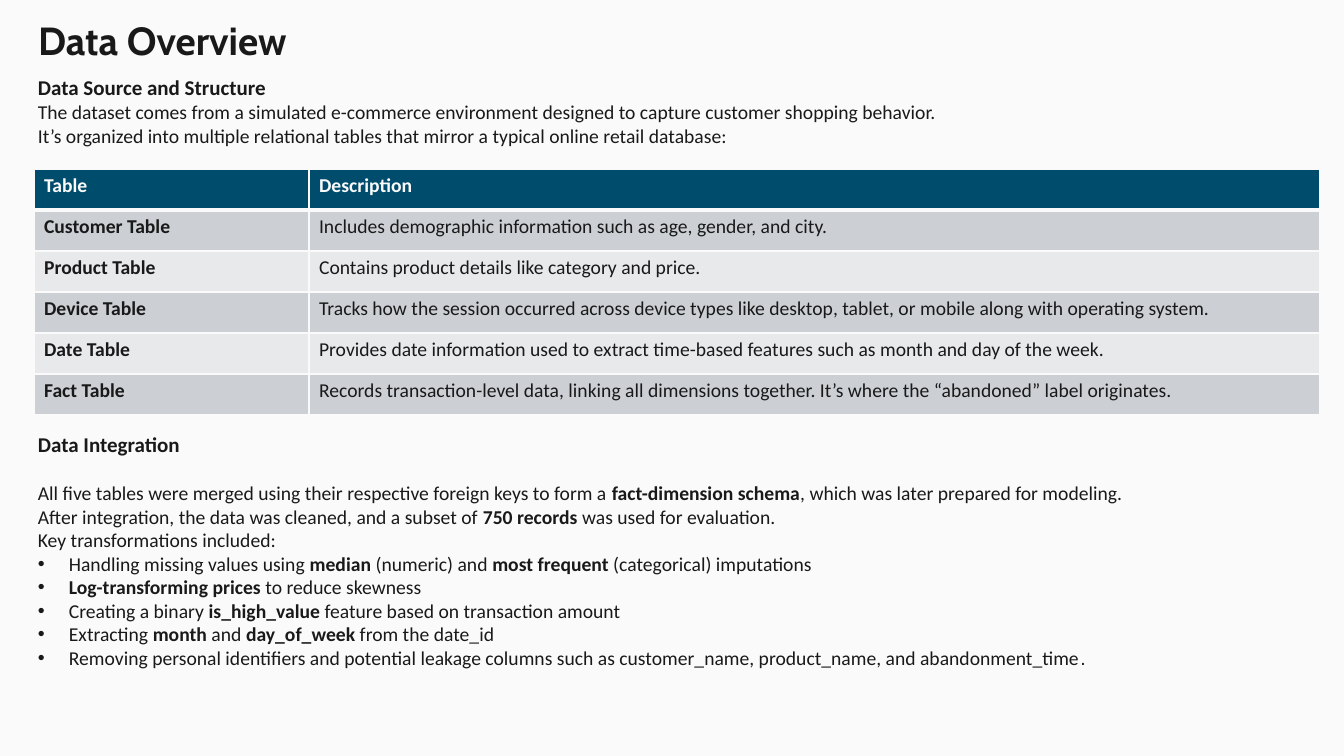
from lxml import etree
from pptx import Presentation
from pptx.dml.color import RGBColor
from pptx.enum.text import MSO_ANCHOR, MSO_AUTO_SIZE, PP_ALIGN
from pptx.oxml.ns import qn
from pptx.util import Emu, Pt

SLIDE_W, SLIDE_H = 1344, 756
EMU_PER_PX = 12192000 / SLIDE_W

PAPER = RGBColor(0xFA, 0xFA, 0xFA)
INK = RGBColor(0x19, 0x19, 0x19)
HEADER_BLUE = RGBColor(0x00, 0x4C, 0x6D)
BAND_DARK = RGBColor(0xCC, 0xD0, 0xD4)
BAND_LIGHT = RGBColor(0xE7, 0xE9, 0xEB)

BODY_FONT, TITLE_FONT = "Calibri", "Cabin"
BULLET_INDENT = 31

SOURCE_LINES = (
    "The dataset comes from a simulated e-commerce environment designed to capture customer shopping behavior.\n"
    "It’s organized into multiple relational tables that mirror a typical online retail database:"
)
TABLE_ROWS = [
    ("Table", "Description"),
    ("Customer Table", "Includes demographic information such as age, gender, and city."),
    ("Product Table", "Contains product details like category and price."),
    ("Device Table", "Tracks how the session occurred across device types like desktop, "
                     "tablet, or mobile along with operating system."),
    ("Date Table", "Provides date information used to extract time-based features "
                   "such as month and day of the week."),
    ("Fact Table", "Records transaction-level data, linking all dimensions together. "
                   "It’s where the “abandoned” label originates."),
]
INTEGRATION_LINES = (
    "All five tables were merged using their respective foreign keys to form a "
    "**fact-dimension schema**, which was later prepared for modeling.\n"
    "After integration, the data was cleaned, and a subset of **750 records** was used for evaluation."
)
TRANSFORMATIONS = [
    "Handling missing values using **median** (numeric) and **most frequent** (categorical) imputations",
    "**Log-transforming prices** to reduce skewness",
    "Creating a binary **is_high_value** feature based on transaction amount",
    "Extracting **month** and **day_of_week** from the date_id",
    "Removing personal identifiers and potential leakage columns such as "
    "customer_name, product_name, and abandonment_time",
]


def px(length):
    return Emu(round(length * EMU_PER_PX))


def style(paragraph, size, bold=False, color=INK, name=BODY_FONT):
    font = paragraph.font
    font.name, font.size, font.bold = name, Pt(size), bold
    font.color.rgb = color


def write(paragraph, marked_text):
    """Add text in which **...** marks bold and a newline breaks the line."""
    for i, part in enumerate(marked_text.split("**")):
        for j, line in enumerate(part.split("\n")):
            if j:
                paragraph.add_line_break()
            if line:
                run = paragraph.add_run()
                run.text = line
                if i % 2:
                    run.font.bold = True


def add_body(frame, marked_text):
    paragraph = frame.add_paragraph()
    style(paragraph, 14)
    write(paragraph, marked_text)
    return paragraph


def add_bullet(paragraph):
    properties = paragraph._p.get_or_add_pPr()
    properties.set("marL", str(px(BULLET_INDENT)))
    properties.set("indent", str(-px(BULLET_INDENT)))
    bullet_font = etree.Element(qn("a:buFont"), typeface="Arial")
    bullet = etree.Element(qn("a:buChar"), char="•")
    default_font = properties.find(qn("a:defRPr"))
    default_font.addprevious(bullet_font)
    default_font.addprevious(bullet)


def add_section(slide, heading, left, top, width, height):
    """Add a text box that opens with a bold heading, and return its frame."""
    frame = slide.shapes.add_textbox(px(left), px(top), px(width), px(height)).text_frame
    frame.word_wrap = True
    frame.auto_size = MSO_AUTO_SIZE.SHAPE_TO_FIT_TEXT
    frame.paragraphs[0].text = heading
    style(frame.paragraphs[0], 15, bold=True)
    return frame


def place_title(slide, left, top, width, height):
    title = slide.shapes.title
    title.left, title.top, title.width, title.height = map(px, (left, top, width, height))
    frame = title.text_frame
    frame.text = "Data Overview"
    frame.word_wrap = True
    frame.auto_size = MSO_AUTO_SIZE.NONE
    frame.vertical_anchor = MSO_ANCHOR.MIDDLE
    paragraph = frame.paragraphs[0]
    paragraph.alignment = PP_ALIGN.LEFT
    paragraph.line_spacing = 0.9
    style(paragraph, 28, bold=True, name=TITLE_FONT)


def add_source(slide, left, top, width, height):
    frame = add_section(slide, "Data Source and Structure", left, top, width, height)
    add_body(frame, SOURCE_LINES)


def add_borders(cell, top, bottom):
    properties = cell._tc.get_or_add_tcPr()
    for side, points in (("lnL", 1), ("lnR", 1), ("lnT", top), ("lnB", bottom)):
        line = etree.SubElement(properties, qn(f"a:{side}"), w=str(Pt(points)))
        fill = etree.SubElement(line, qn("a:solidFill"))
        etree.SubElement(fill, qn("a:srgbClr"), val=str(PAPER))


def add_descriptions(slide, left, top, column_widths, row_height):
    count = len(TABLE_ROWS)
    table = slide.shapes.add_table(
        count, len(column_widths), px(left), px(top),
        px(sum(column_widths)), px(row_height * count)).table
    table.horz_banding = False
    for column, width in zip(table.columns, column_widths):
        column.width = px(width)
    for r, texts in enumerate(TABLE_ROWS):
        table.rows[r].height = px(row_height)
        header = r == 0
        band = HEADER_BLUE if header else (BAND_LIGHT, BAND_DARK)[r % 2]
        for c, text in enumerate(texts):
            cell = table.cell(r, c)
            cell.text = text
            style(cell.text_frame.paragraphs[0], 14, bold=header or c == 0,
                  color=PAPER if header else INK)
            add_borders(cell, top=3 if r == 1 else 1, bottom=3 if header else 1)
            cell.fill.solid()
            cell.fill.fore_color.rgb = band


def add_integration(slide, left, top, width, height):
    frame = add_section(slide, "Data Integration", left, top, width, height)
    frame.paragraphs[0].space_after = Pt(17)
    add_body(frame, INTEGRATION_LINES)
    add_body(frame, "Key transformations included:")
    for text in TRANSFORMATIONS:
        item = add_body(frame, text)
        add_bullet(item)
    full_stop = item.add_run()
    full_stop.text = "."
    full_stop.font.name = "Arial"


def main():
    deck = Presentation()
    deck.slide_width, deck.slide_height = px(SLIDE_W), px(SLIDE_H)
    slide = deck.slides.add_slide(deck.slide_layouts[5])
    slide.background.fill.solid()
    slide.background.fill.fore_color.rgb = PAPER

    add_source(slide, 28, 70, 1298, 83)
    add_descriptions(slide, 34, 169, column_widths=(275, 1011), row_height=41)
    place_title(slide, 28, 11, 1159, 64)
    add_integration(slide, 28, 427, 1292, 248)
    deck.save("out.pptx")


if __name__ == "__main__":
    main()
